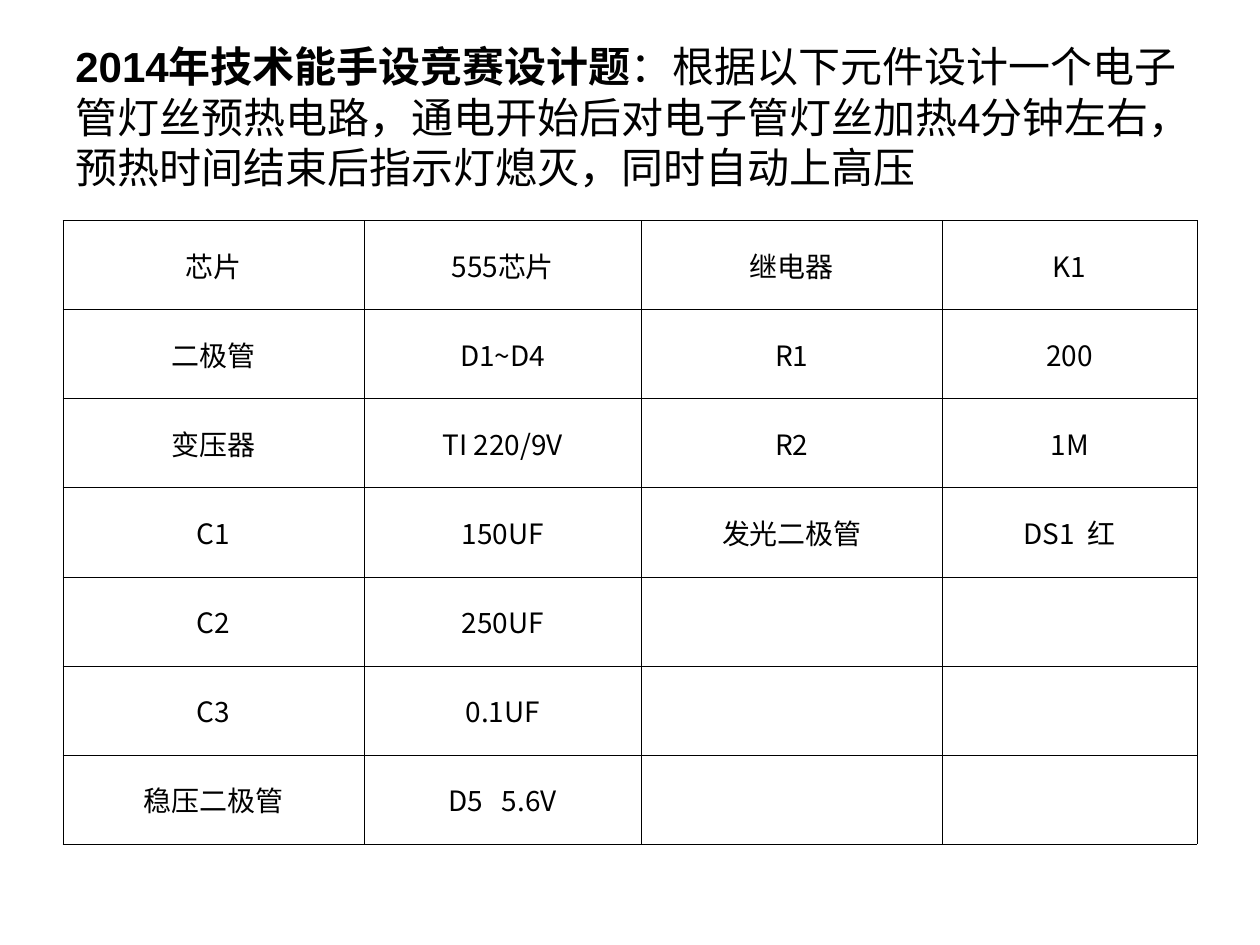
from lxml.etree import SubElement
from pptx import Presentation
from pptx.dml.color import RGBColor
from pptx.enum.lang import MSO_LANGUAGE_ID as Lang
from pptx.enum.text import MSO_ANCHOR as Anchor, PP_ALIGN as Align
from pptx.oxml import parse_xml
from pptx.oxml.ns import nsdecls, qn
from pptx.util import Inches, Pt

BLACK = "000000"
TITLE = [
    ("2014年技术能手设竞赛设计题", True),
    ("：根据以下元件设计一个电子管灯丝预热电路，通电开始后对电子管灯丝加热4分钟左右，"
     "预热时间结束后指示灯熄灭，同时自动上高压", False),
]
PARTS = [
    ("芯片", "555芯片", "继电器", "K1"),
    ("二极管", "D1~D4", "R1", "200"),
    ("变压器", "TI 220/9V", "R2", "1M"),
    ("C1", "150UF", "发光二极管", "DS1  红"),
    ("C2", "250UF", "", ""),
    ("C3", "0.1UF", "", ""),
    ("稳压二极管", "D5   5.6V", "", ""),
]
COLUMN_WIDTHS = [2.39, 2.2, 2.39, 2.02]
LEFT, WIDTH = 0.5, 9
TABLE_TOP, TABLE_HEIGHT = 1.75, 4.95


def color(value):
    return RGBColor.from_string(value)


def set_font(para, name, size):
    font = para.font
    font.name, font.size = name, Pt(size)
    font.color.rgb = color(BLACK)
    font.language_id = Lang.SIMPLIFIED_CHINESE
    defaults = para._p.pPr.find(qn("a:defRPr"))
    SubElement(defaults, qn("a:ea"), typeface=name)


def set_borders(cell):
    properties = cell._tc.get_or_add_tcPr()
    for index, side in enumerate(("lnL", "lnR", "lnT", "lnB")):
        properties.insert(index, parse_xml(
            f'<a:{side} {nsdecls("a")} w="{Pt(0.45)}"><a:solidFill>'
            f'<a:srgbClr val="{BLACK}"/></a:solidFill></a:{side}>'))


def add_title(page):
    box = page.shapes.add_textbox(
        Inches(LEFT), Inches(0.3), Inches(WIDTH), Inches(1.25))
    frame = box.text_frame
    frame.word_wrap = True
    frame.vertical_anchor = Anchor.MIDDLE
    para = frame.paragraphs[0]
    para.line_spacing = Pt(28.8)
    set_font(para, "Arial", 24)
    for text, bold in TITLE:
        span = para.add_run()
        span.text = text
        span.font.bold = bold


def add_parts_table(page):
    table = page.shapes.add_table(
        len(PARTS), len(COLUMN_WIDTHS), Inches(LEFT), Inches(TABLE_TOP),
        Inches(WIDTH), Inches(TABLE_HEIGHT)).table
    table.first_row = table.horz_banding = False
    for column, width in zip(table.columns, COLUMN_WIDTHS):
        column.width = Inches(width)
    for row, texts in enumerate(PARTS):
        for column, text in enumerate(texts):
            cell = table.cell(row, column)
            cell.fill.background()
            set_borders(cell)
            cell.vertical_anchor = Anchor.MIDDLE
            para = cell.text_frame.paragraphs[0]
            para.text = text
            para.alignment = Align.CENTER
            set_font(para, "Noto Sans CJK SC", 16)


deck = Presentation()
deck.slide_width, deck.slide_height = Inches(10), Inches(7.5)
page = deck.slides.add_slide(deck.slide_layouts[6])
add_title(page)
add_parts_table(page)
deck.save("out.pptx")
